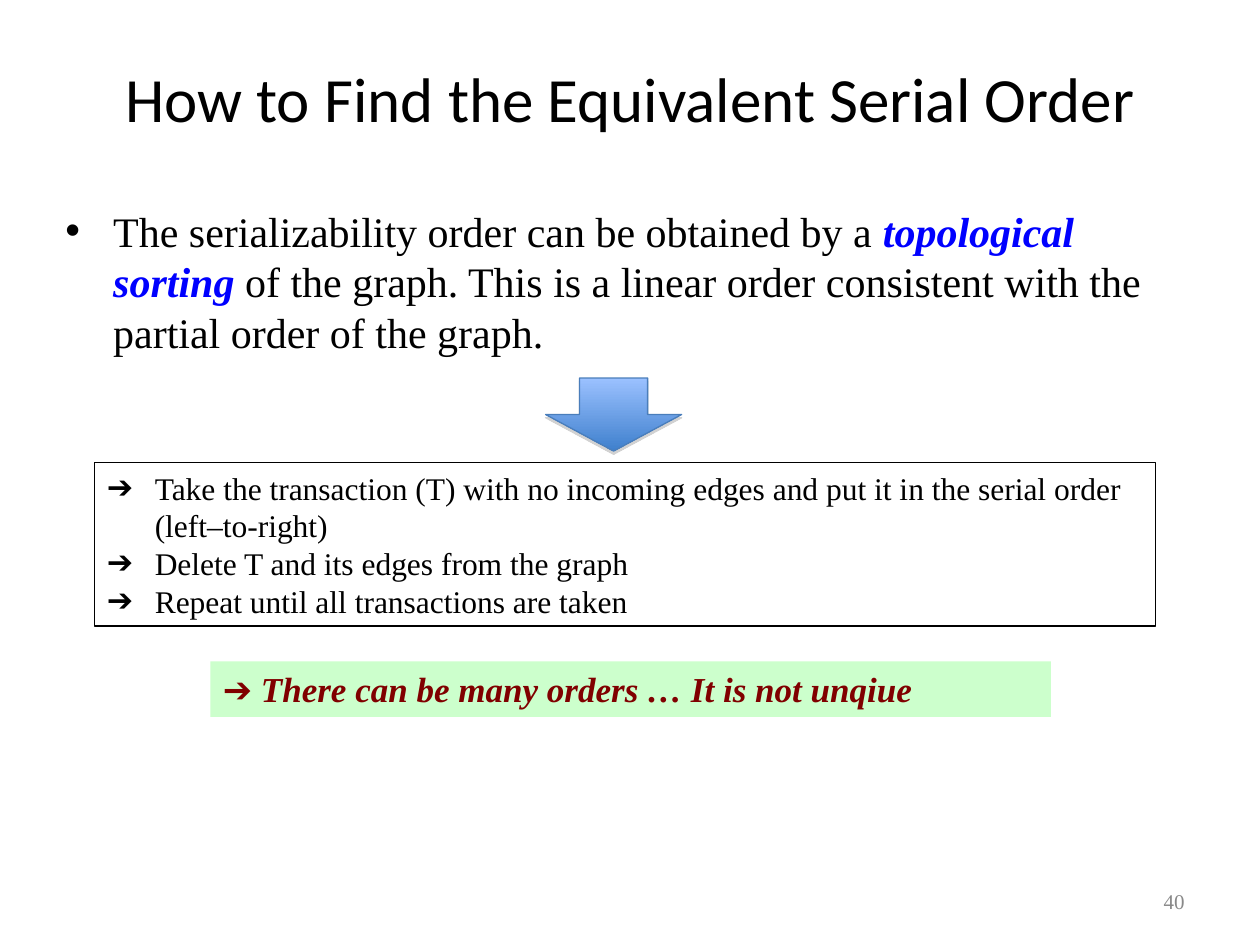
from dataclasses import dataclass

from lxml.etree import SubElement
from pptx import Presentation
from pptx.dml.color import RGBColor as Rgb
from pptx.enum.shapes import MSO_SHAPE as Shape
from pptx.enum.text import MSO_ANCHOR as Anchor, PP_ALIGN as Align
from pptx.oxml.ns import qn
from pptx.util import Emu, Pt

PX = 9144


@dataclass(frozen=True)
class Theme:
    """Colours, fonts and type sizes of the deck."""
    ink: str = "000000"
    muted: str = "898989"
    accent: str = "0000FF"
    remark: str = "800000"
    remark_fill: str = "CCFFCC"
    arrow_top: str = "9BC1FF"
    arrow_bottom: str = "3F80CD"
    arrow_line: str = "4A7EBB"
    shadow: str = "808080"
    heading_font: str = "Calibri"
    body_font: str = "Times New Roman"
    symbol_font: str = "Arial"
    title_size: int = 36
    body_size: int = 24
    remark_size: int = 20
    step_size: int = 18
    number_size: int = 12
    line_width: float = 0.75


THEME = Theme()


def px(*lengths):
    """Turn px lengths into EMU."""
    return [Emu(length * PX) for length in lengths]


def add_text(para, text, size, color=THEME.ink, font=THEME.body_font, strong=False):
    """Add one formatted span to a paragraph; strong means bold italic."""
    span = para.add_run()
    span.text = text
    span.font.size = Pt(size)
    span.font.name = font
    span.font.color.rgb = Rgb.from_string(color)
    span.font.bold = span.font.italic = strong


def add_bullet(para, symbol, indent=38):
    """Give a paragraph a hanging bullet."""
    props = para._p.get_or_add_pPr()
    props.set("marL", str(indent * PX))
    props.set("indent", str(-indent * PX))
    color = SubElement(props, qn("a:buClr"))
    SubElement(color, qn("a:srgbClr"), val=THEME.ink)
    SubElement(props, qn("a:buFont"), typeface=THEME.symbol_font)
    SubElement(props, qn("a:buChar"), char=symbol)


def add_frame(page, box, anchor=Anchor.TOP, align=Align.LEFT):
    """Add a wrapping text box and return it with its first paragraph."""
    shape = page.shapes.add_textbox(*px(*box))
    frame = shape.text_frame
    frame.word_wrap = True
    frame.vertical_anchor = anchor
    para = frame.paragraphs[0]
    para.alignment = align
    return shape, para


def add_title(page, box, text):
    """Place the centred slide title."""
    para = add_frame(page, box, Anchor.MIDDLE, Align.CENTER)[1]
    add_text(para, text, THEME.title_size, font=THEME.heading_font)


def add_number(page, box, text):
    """Place the slide number at the right of its box."""
    para = add_frame(page, box, Anchor.MIDDLE, Align.RIGHT)[1]
    add_text(para, text, THEME.number_size, color=THEME.muted)


def add_statement(page, box, before, term, after):
    """Place the main bullet with its emphasised term."""
    para = add_frame(page, box)[1]
    add_bullet(para, "•")
    add_text(para, before, THEME.body_size)
    add_text(para, term, THEME.body_size, color=THEME.accent, strong=True)
    add_text(para, after, THEME.body_size)


def add_steps(page, box, steps):
    """Place the outlined list of steps."""
    shape, para = add_frame(page, box)
    shape.line.color.rgb = Rgb.from_string(THEME.ink)
    shape.line.width = Pt(THEME.line_width)
    for index, step in enumerate(steps):
        if index:
            para = shape.text_frame.add_paragraph()
        add_bullet(para, "➔")
        add_text(para, step, THEME.step_size)


def add_down_arrow(page, box):
    """Place the shaded arrow with its soft shadow."""
    arrow = page.shapes.add_shape(Shape.DOWN_ARROW, *px(*box))
    arrow.fill.gradient()
    arrow.fill.gradient_angle = 270
    for stop, color in zip(arrow.fill.gradient_stops, (THEME.arrow_top, THEME.arrow_bottom)):
        stop.color.rgb = Rgb.from_string(color)
    arrow.line.color.rgb = Rgb.from_string(THEME.arrow_line)
    arrow.line.width = Pt(THEME.line_width)
    arrow.shadow.inherit = False
    effects = arrow._element.spPr.find(qn("a:effectLst"))
    shadow = SubElement(effects, qn("a:outerShdw"), blurRad="0",
                        dist=str(Pt(1.8)), dir="5400000", rotWithShape="0")
    color = SubElement(shadow, qn("a:srgbClr"), val=THEME.shadow)
    SubElement(color, qn("a:alpha"), val="35000")


def add_remark(page, box, text):
    """Place the highlighted closing remark."""
    shape, para = add_frame(page, box)
    shape.fill.solid()
    shape.fill.fore_color.rgb = Rgb.from_string(THEME.remark_fill)
    look = {"size": THEME.remark_size, "color": THEME.remark, "strong": True}
    add_text(para, "➔", font=THEME.symbol_font, **look)
    add_text(para, text, **look)


def main():
    """Build the deck and save it."""
    deck = Presentation()
    deck.slide_width, deck.slide_height = px(1000, 750)
    page = deck.slides.add_slide(deck.slide_layouts[6])
    add_title(page, (50, 30, 900, 95), "How to Find the Equivalent Serial Order")
    add_number(page, (717, 695, 233, 40), "40")
    add_statement(
        page, (42, 158, 908, 130),
        "The serializability order can be obtained by a ",
        "topological sorting",
        " of the graph. This is a linear order consistent with the partial order of the graph.")
    add_steps(page, (75, 367, 842, 130), (
        "Take the transaction (T) with no incoming edges and put it in the serial order (left–to-right)",
        "Delete T and its edges from the graph",
        "Repeat until all transactions are taken"))
    add_down_arrow(page, (433, 300, 108, 58))
    add_remark(page, (167, 525, 667, 44), " There can be many orders … It is not unqiue")
    deck.save("out.pptx")


if __name__ == "__main__":
    main()
